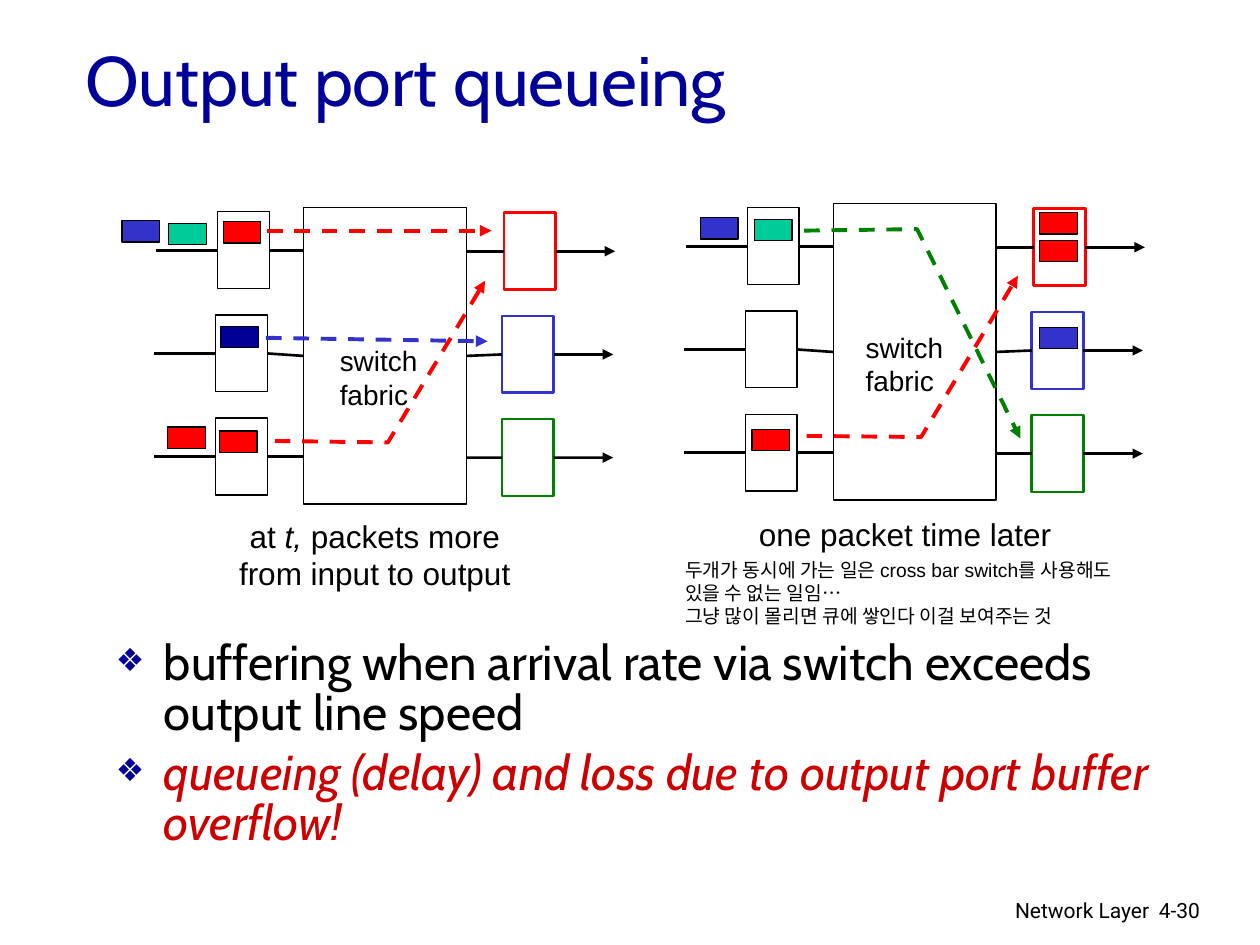
from typing import NamedTuple

from lxml.etree import SubElement
from pptx import Presentation
from pptx.dml.color import RGBColor
from pptx.enum.dml import MSO_LINE
from pptx.enum.shapes import MSO_CONNECTOR, MSO_SHAPE
from pptx.enum.text import MSO_ANCHOR, MSO_AUTO_SIZE, PP_ALIGN
from pptx.oxml.ns import qn
from pptx.util import Cm, Pt

BLACK = RGBColor(0x00, 0x00, 0x00)
WHITE = RGBColor(0xFF, 0xFF, 0xFF)
NAVY = RGBColor(0x00, 0x00, 0x99)
BLUE = RGBColor(0x33, 0x33, 0xCC)
RED = RGBColor(0xFF, 0x00, 0x00)
DARK_RED = RGBColor(0xCC, 0x00, 0x00)
GREEN = RGBColor(0x00, 0x80, 0x00)
TEAL = RGBColor(0x00, 0xCC, 0x99)

TOP, LEFT, BOTTOM, RIGHT = range(4)
FABRIC_WIDTH, FABRIC_HEIGHT = 3.28, 5.97
PORT_WIDTH, PORT_HEIGHT = 1.04, 1.55
ROW_PITCH = 2.08
PACKET_WIDTH, PACKET_HEIGHT = 0.76, 0.43


class Packet(NamedTuple):
    left: float
    top: float
    color: RGBColor


class Route(NamedTuple):
    color: RGBColor
    points: list


class Span(NamedTuple):
    text: str
    italic: bool = False


class Label(NamedTuple):
    left: float
    top: float
    width: float
    height: float
    size: float
    paras: list
    align: PP_ALIGN = PP_ALIGN.LEFT
    font: str = "Arial"
    wrap: bool = True


SWITCHES = [(6.12, 4.19), (16.8, 4.11)]
PACKETS = [
    Packet(4.5, 4.47, RED), Packet(4.45, 6.58, NAVY), Packet(4.42, 8.69, RED),
    Packet(3.4, 4.5, TEAL), Packet(3.38, 8.61, RED), Packet(2.46, 4.45, BLUE),
    Packet(20.96, 4.29, RED), Packet(20.96, 6.6, BLUE), Packet(20.96, 4.85, RED),
    Packet(15.21, 4.42, TEAL), Packet(15.16, 8.66, RED), Packet(14.12, 4.39, BLUE),
]
ROUTES = [
    Route(RED, [(5.38, 4.65), (9.91, 4.65)]),
    Route(RED, [(5.54, 8.89), (7.82, 8.92), (9.78, 5.66)]),
    Route(RED, [(16.26, 8.79), (18.57, 8.81), (20.52, 5.56)]),
    Route(GREEN, [(16.21, 4.65), (18.49, 4.62), (20.57, 8.84)]),
    Route(BLUE, [(5.36, 6.81), (9.83, 6.88)]),
]
FABRIC_NAME = [[Span("switch")], [Span("fabric")]]
LABELS = [
    Label(15.37, 17.96, 8.05, 0.79, 12, [[Span("Network Layer")]], PP_ALIGN.RIGHT, "Roboto"),
    Label(23.11, 17.96, 1.88, 0.76, 12, [[Span("4-30")]], font="Roboto"),
    Label(4.14, 10.29, 6.83, 1.78, 18,
          [[Span("at "), Span("t,", True), Span(" packets more")],
           [Span("from input to output")]], PP_ALIGN.CENTER),
    Label(14.83, 10.26, 6.83, 1.02, 18, [[Span("one packet time later")]], PP_ALIGN.CENTER),
    Label(6.6, 6.81, 2.08, 1.63, 16, FABRIC_NAME, wrap=False),
    Label(17.2, 6.53, 2.08, 1.63, 16, FABRIC_NAME, wrap=False),
    Label(13.56, 11.13, 9.73, 1.68, 11,
          [[Span("두개가 동시에 가는 일은 cross bar switch를 사용해도")],
           [Span("있을 수 없는 일임…")],
           [Span("그냥 많이 몰리면 큐에 쌓인다 이걸 보여주는 것")]], wrap=False),
]


def add_rect(page, left, top, width, height, fill=WHITE, line=BLACK, weight=0.75):
    box = page.shapes.add_shape(MSO_SHAPE.RECTANGLE, Cm(left), Cm(top), Cm(width), Cm(height))
    box.shadow.inherit = False
    box.fill.solid()
    box.fill.fore_color.rgb = fill
    box.line.color.rgb = line
    box.line.width = Pt(weight)
    return box


def style_line(shape, color: RGBColor, weight: float, arrow=False, dashed=False) -> None:
    shape.line.color.rgb = color
    shape.line.width = Pt(weight)
    if dashed:
        shape.line.dash_style = MSO_LINE.DASH
    if arrow:
        SubElement(shape._element.spPr.find(qn("a:ln")), qn("a:tailEnd"), type="triangle")


def add_line(page, start, end, color=BLACK, weight=1.5, arrow=False, dashed=False):
    line = page.shapes.add_connector(
        MSO_CONNECTOR.STRAIGHT, *(Cm(value) for value in (*start, *end)))
    style_line(line, color, weight, arrow, dashed)
    SubElement(line._element.spPr, qn("a:effectLst"))
    return line


def add_switch(page, left: float, top: float) -> None:
    """Draw the fabric with its three input and three output ports and links."""
    fabric = add_rect(page, left, top, FABRIC_WIDTH, FABRIC_HEIGHT)
    right = left + FABRIC_WIDTH
    for row, color in enumerate((RED, BLUE, GREEN)):
        shift = -0.04 if row else 0
        input_left, input_top = left - 1.73 + shift, top + 0.08 + row * ROW_PITCH
        output_left, output_top = left + 4.04 + shift, top + 0.1 + row * ROW_PITCH
        input_port = add_rect(page, input_left, input_top, PORT_WIDTH, PORT_HEIGHT)
        output_port = add_rect(page, output_left, output_top, PORT_WIDTH, PORT_HEIGHT,
                               line=color, weight=1.5)
        input_y = input_top + PORT_HEIGHT / 2
        output_y = output_top + PORT_HEIGHT / 2
        output_right = output_left + PORT_WIDTH

        arrival = add_line(page, (input_left - 1.24, input_y), (input_left, input_y))
        arrival.end_connect(input_port, LEFT)
        entry = add_line(page, (input_left + PORT_WIDTH, input_y), (left, input_y))
        entry.begin_connect(input_port, RIGHT)
        leaving = add_line(page, (right, output_y), (output_left, output_y))
        leaving.end_connect(output_port, LEFT)
        departure = add_line(page, (output_right, output_y),
                             (output_right + 1.2, output_y), arrow=True)
        departure.begin_connect(output_port, RIGHT)
        if row == 1:
            entry.end_connect(fabric, LEFT)
            leaving.begin_connect(fabric, RIGHT)


def add_route(page, route: Route) -> None:
    if len(route.points) == 2:
        add_line(page, *route.points, route.color, 2.25, arrow=True, dashed=True)
        return
    start, *others = [(Cm(x), Cm(y)) for x, y in route.points]
    builder = page.shapes.build_freeform(*start)
    builder.add_line_segments(others, close=False)
    outline = builder.convert_to_shape()
    outline.shadow.inherit = False
    outline.fill.background()
    style_line(outline, route.color, 2.25, arrow=True, dashed=True)


def add_span(para, text: str, font: str, size: float, color=BLACK, italic=False) -> None:
    span = para.add_run()
    span.text = text
    span.font.name = font
    span.font.size = Pt(size)
    span.font.color.rgb = color
    span.font.italic = italic


def add_label(page, label: Label) -> None:
    box = page.shapes.add_textbox(
        Cm(label.left), Cm(label.top), Cm(label.width), Cm(label.height))
    frame = box.text_frame
    frame.word_wrap = label.wrap
    for index, spans in enumerate(label.paras):
        para = frame.add_paragraph() if index else frame.paragraphs[0]
        para.alignment = label.align
        for text, italic in spans:
            add_span(para, text, label.font, label.size, italic=italic)


def place(box, left: float, top: float, width: float, height: float) -> None:
    box.left, box.top, box.width, box.height = Cm(left), Cm(top), Cm(width), Cm(height)
    box.text_frame.auto_size = MSO_AUTO_SIZE.NONE


def add_bullet(para) -> None:
    properties = para._p.get_or_add_pPr()
    properties.set("marL", str(Cm(0.97)))
    properties.set("indent", str(-Cm(0.97)))
    SubElement(SubElement(properties, qn("a:buClr")), qn("a:srgbClr"), val=str(NAVY))
    SubElement(properties, qn("a:buSzPct"), val="65000")
    SubElement(properties, qn("a:buChar"), char="❖")


def fill_placeholders(page) -> None:
    title = page.shapes.title
    place(title, 1.47, 0.56, 21.59, 2.03)
    title.text_frame.vertical_anchor = MSO_ANCHOR.MIDDLE
    heading = title.text_frame.paragraphs[0]
    heading.alignment = PP_ALIGN.LEFT
    add_span(heading, "Output port queueing", "Cabin", 40, NAVY)

    body = page.placeholders[1]
    place(body, 2.08, 12.78, 21.59, 3.3)
    points = [
        ("buffering when arrival rate via switch exceeds output line speed", BLACK, False),
        ("queueing (delay) and loss due to output port buffer overflow!", DARK_RED, True),
    ]
    for index, (text, color, italic) in enumerate(points):
        para = body.text_frame.add_paragraph() if index else body.text_frame.paragraphs[0]
        add_bullet(para)
        para.line_spacing = 0.85
        para.space_before = Pt(5.6 if index else 0)
        add_span(para, text, "Cabin", 28, color, italic)


def main() -> None:
    deck = Presentation()
    deck.slide_width, deck.slide_height = Cm(25.4), Cm(19.05)
    page = deck.slides.add_slide(deck.slide_layouts[1])
    fill_placeholders(page)
    for left, top in SWITCHES:
        add_switch(page, left, top)
    for packet in PACKETS:
        add_rect(page, packet.left, packet.top, PACKET_WIDTH, PACKET_HEIGHT, packet.color)
    for route in ROUTES:
        add_route(page, route)
    for label in LABELS:
        add_label(page, label)
    deck.save("out.pptx")


if __name__ == "__main__":
    main()
